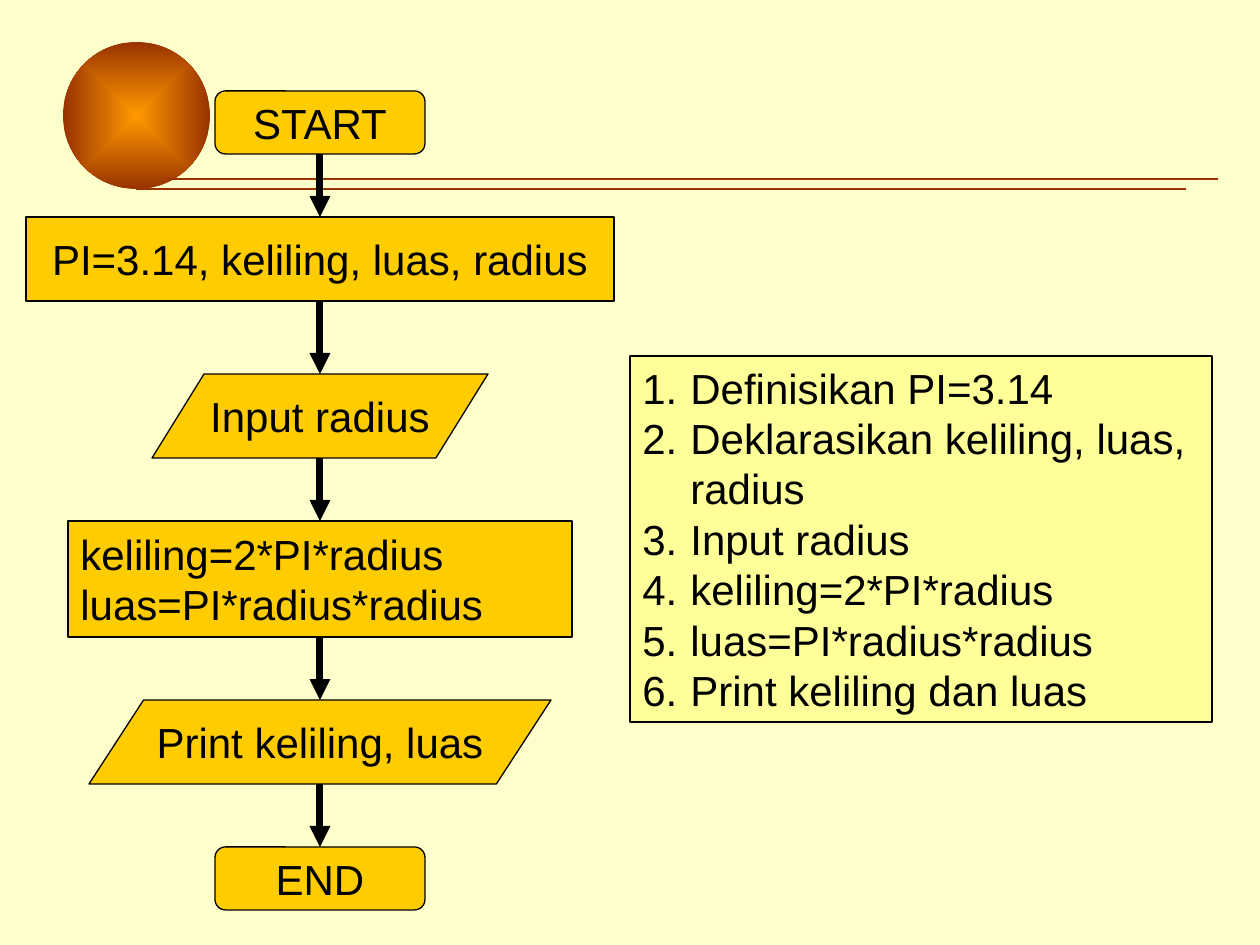
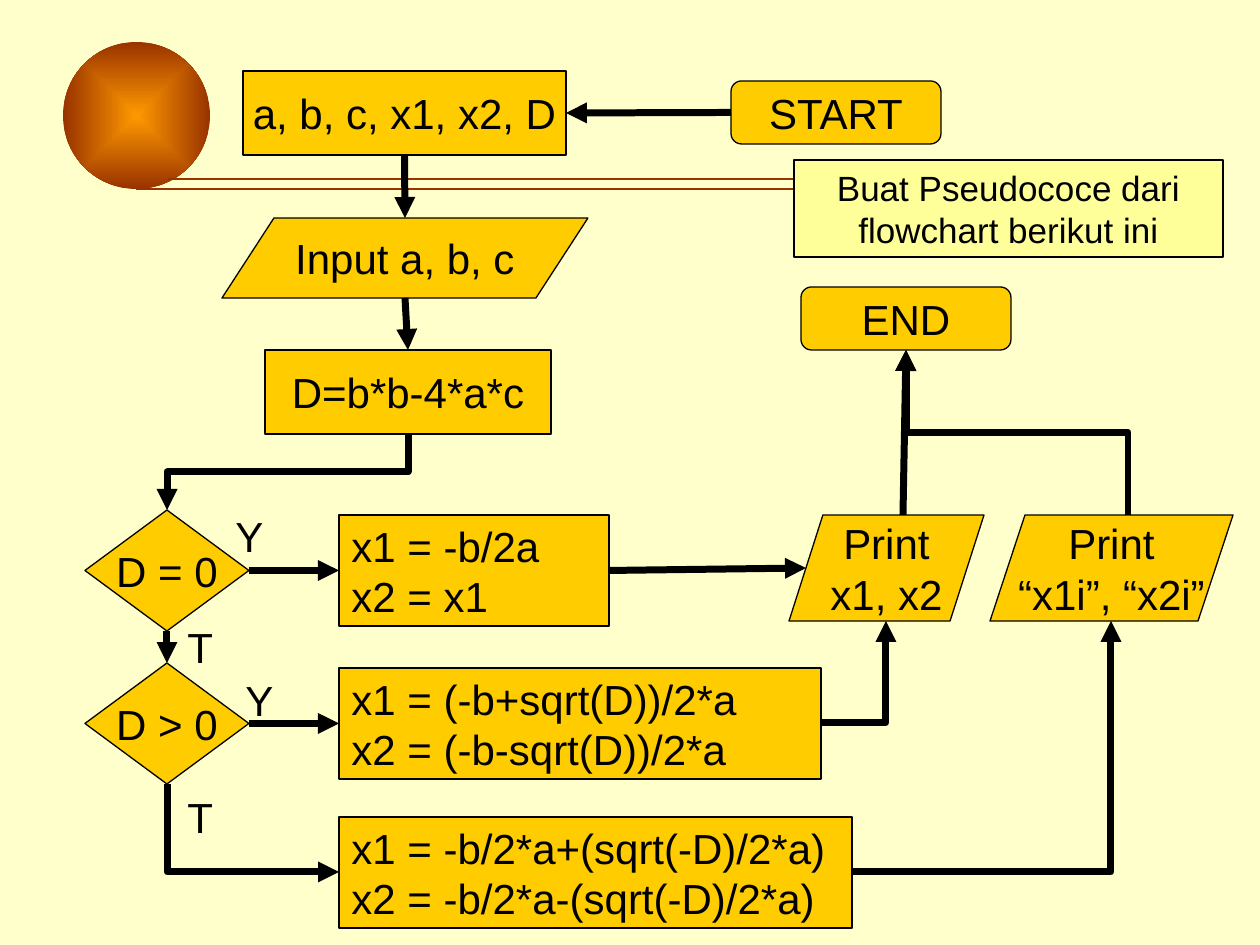
from dataclasses import dataclass
from itertools import pairwise

import lxml.etree
import pptx
import pptx.dml.color
import pptx.enum.shapes
import pptx.enum.text
import pptx.oxml
import pptx.oxml.ns
import pptx.shapes.autoshape
import pptx.shapes.connector
import pptx.slide
import pptx.util

PX_PER_INCH = 126
FONT = "Arial"
COLORS = {
    "page": "FFFFCC",
    "node": "FFCC00",
    "note": "FFFF99",
    "ink": "000000",
    "glow": "FF9900",
    "rust": "993300",
}
TOP, LEFT, BOTTOM, RIGHT = range(4)
COLUMN_CENTER = 320
SLANT = 17  # half the slant of the print boxes

SHAPES = pptx.enum.shapes.MSO_SHAPE
ALIGN = pptx.enum.text.PP_ALIGN
ANCHOR = pptx.enum.text.MSO_ANCHOR
Shape = pptx.shapes.autoshape.Shape
Connector = pptx.shapes.connector.Connector
Slide = pptx.slide.Slide
Point = tuple[int, int]


@dataclass(frozen=True)
class Node:
    kind: SHAPES
    x: int
    y: int
    w: int
    h: int
    lines: tuple[str, ...]
    centered: bool = True
    slant: float = 0


@dataclass(frozen=True)
class Note:
    x: int
    y: int
    w: int
    h: int
    lines: tuple[str, ...]
    size: int
    numbered: bool = False


@dataclass(frozen=True)
class Joint:
    node: str
    side: int
    dx: int = 0


@dataclass(frozen=True)
class Arrow:
    start: Joint
    end: Joint
    elbow: str = ""


def terminal(x: int, y: int, text: str) -> Node:
    return Node(SHAPES.ROUNDED_RECTANGLE, x, y, 210, 63, (text,))


def process(x: int, y: int, w: int, h: int, *lines: str) -> Node:
    """Rectangle: one line is centred, several are aligned left."""
    return Node(SHAPES.RECTANGLE, x, y, w, h, lines, len(lines) == 1)


def in_out(x: int, y: int, w: int, h: int, slant: float, *lines: str) -> Node:
    return Node(SHAPES.PARALLELOGRAM, x, y, w, h, lines, slant=slant)


def decision(y: int, text: str) -> Node:
    return Node(SHAPES.DIAMOND, 85, y, 164, 121, (text,))


def in_column(w: int) -> int:
    """Left edge of a box of width w in the centred column."""
    return COLUMN_CENTER - w // 2


AREA_NODES = {
    "start": terminal(in_column(210), 91, "START"),
    "declare": process(in_column(588), 217, 588, 84, "PI=3.14, keliling, luas, radius"),
    "input": in_out(in_column(336), 374, 336, 84, 0.62, "Input radius"),
    "compute": process(in_column(504), 521, 504, 116,
                       "keliling=2*PI*radius", "luas=PI*radius*radius"),
    "print": in_out(in_column(462), 700, 462, 84, 0.65, "Print keliling, luas"),
    "end": terminal(in_column(210), 847, "END"),
}
AREA_ARROWS = [Arrow(Joint(a, BOTTOM), Joint(b, TOP)) for a, b in pairwise(AREA_NODES)]
AREA_NOTE = Note(630, 356, 582, 366, (
    "Definisikan PI=3.14",
    "Deklarasikan keliling, luas, radius",
    "Input radius",
    "keliling=2*PI*radius",
    "luas=PI*radius*radius",
    "Print keliling dan luas",
), 24, numbered=True)

ROOT_NODES = {
    "start": terminal(731, 81, "START"),
    "declare": process(243, 71, 323, 84, "a, b, c, x1, x2, D"),
    "end": terminal(801, 287, "END"),
    "input": in_out(222, 218, 366, 80, 0.65, "Input a, b, c"),
    "discriminant": process(265, 350, 286, 84, "D=b*b-4*a*c"),
    "zero": decision(510, "D = 0"),
    "positive": decision(663, "D > 0"),
    "equal": process(339, 515, 270, 111, "x1 = -b/2a", "x2 = x1"),
    "real": process(339, 668, 482, 111, "x1 = (-b+sqrt(D))/2*a", "x2 = (-b-sqrt(D))/2*a"),
    "complex": process(339, 817, 513, 111,
                       "x1 = -b/2*a+(sqrt(-D)/2*a)", "x2 = -b/2*a-(sqrt(-D)/2*a)"),
    "print_real": in_out(789, 515, 195, 106, 0.32, "Print", "x1, x2"),
    "print_complex": in_out(990, 515, 243, 106, 0.33, "Print", "“x1i”, “x2i”"),
}
ROOT_ARROWS = [
    Arrow(Joint("start", LEFT), Joint("declare", RIGHT)),
    Arrow(Joint("declare", BOTTOM), Joint("input", TOP)),
    Arrow(Joint("input", BOTTOM), Joint("discriminant", TOP)),
    Arrow(Joint("discriminant", BOTTOM), Joint("zero", TOP), "bentConnector3"),
    Arrow(Joint("zero", RIGHT), Joint("equal", LEFT)),
    Arrow(Joint("zero", BOTTOM), Joint("positive", TOP)),
    Arrow(Joint("positive", RIGHT), Joint("real", LEFT)),
    Arrow(Joint("positive", BOTTOM), Joint("complex", LEFT), "bentConnector2"),
    Arrow(Joint("equal", RIGHT), Joint("print_real", LEFT, SLANT)),
    Arrow(Joint("real", RIGHT), Joint("print_real", BOTTOM), "bentConnector2"),
    Arrow(Joint("complex", RIGHT), Joint("print_complex", BOTTOM), "bentConnector2"),
    Arrow(Joint("print_real", TOP, SLANT), Joint("end", BOTTOM)),
    Arrow(Joint("print_complex", TOP, SLANT), Joint("end", BOTTOM), "bentConnector3"),
]
ROOT_NOTE = Note(794, 160, 429, 97, ("Buat Pseudococe dari flowchart berikut ini",), 20)
BRANCH_LABELS = [("Y", 223, 504), ("Y", 233, 668), ("T", 175, 615), ("T", 175, 785)]


def px(n: int) -> pptx.util.Emu:
    return pptx.util.Emu(round(n * 914400 / PX_PER_INCH))


def rgb(name: str) -> pptx.dml.color.RGBColor:
    return pptx.dml.color.RGBColor.from_string(COLORS[name])


def add_child(parent: lxml.etree._Element, tag: str, **attrs: str) -> lxml.etree._Element:
    return lxml.etree.SubElement(parent, pptx.oxml.ns.qn(tag), attrs)


def write_lines(sp: Shape, lines: tuple[str, ...], size: int, align: ALIGN) -> None:
    tf = sp.text_frame
    for i, line in enumerate(lines):
        p = tf.add_paragraph() if i else tf.paragraphs[0]
        p.alignment = align
        r = p.add_run()
        r.text = line
        r.font.name = FONT
        r.font.size = pptx.util.Pt(size)
        r.font.color.rgb = rgb("ink")


def add_box(s: Slide, kind: SHAPES, x: int, y: int, w: int, h: int, fill: str) -> Shape:
    sp = s.shapes.add_shape(kind, px(x), px(y), px(w), px(h))
    sp.shadow.inherit = False
    sp.fill.solid()
    sp.fill.fore_color.rgb = rgb(fill)
    sp.line.color.rgb = rgb("ink")
    sp.line.width = pptx.util.Pt(0.75)
    return sp


def add_node(s: Slide, node: Node) -> Shape:
    sp = add_box(s, node.kind, node.x, node.y, node.w, node.h, "node")
    if node.slant:
        sp.adjustments[0] = node.slant
    sp.text_frame.word_wrap = False
    sp.text_frame.vertical_anchor = ANCHOR.MIDDLE
    write_lines(sp, node.lines, 24, ALIGN.CENTER if node.centered else ALIGN.LEFT)
    return sp


def add_note(s: Slide, note: Note) -> None:
    sp = add_box(s, SHAPES.RECTANGLE, note.x, note.y, note.w, note.h, "note")
    sp.text_frame.word_wrap = True
    sp.text_frame.vertical_anchor = ANCHOR.TOP
    write_lines(sp, note.lines, note.size, ALIGN.LEFT if note.numbered else ALIGN.CENTER)
    if note.numbered:
        for p in sp.text_frame.paragraphs:
            pPr = p._p.get_or_add_pPr()
            pPr.set("marL", str(px(48)))
            pPr.set("indent", str(-px(48)))
            add_child(pPr, "a:buFont", typeface=FONT)
            add_child(pPr, "a:buAutoNum", type="arabicPeriod")


def add_label(s: Slide, text: str, x: int, y: int) -> None:
    sp = s.shapes.add_textbox(px(x), px(y), px(52), px(63))
    sp.text_frame.word_wrap = False
    write_lines(sp, (text,), 24, ALIGN.LEFT)


def add_line(s: Slide, start: Point, end: Point, color: str, width: float,
             elbow: str = "") -> Connector:
    kinds = pptx.enum.shapes.MSO_CONNECTOR
    c = s.shapes.add_connector(kinds.ELBOW if elbow else kinds.STRAIGHT,
                               *map(px, start + end))
    c.line.color.rgb = rgb(color)
    c.line.width = pptx.util.Pt(width)
    add_child(c._element.spPr, "a:effectLst")
    return c


def joint_point(node: Node, joint: Joint) -> Point:
    x = node.x + {LEFT: 0, RIGHT: node.w}.get(joint.side, node.w // 2)
    y = node.y + {TOP: 0, BOTTOM: node.h}.get(joint.side, node.h // 2)
    return x + joint.dx, y


def turn_upright(c: Connector, start: Point, end: Point) -> None:
    """Rotate an elbow so that it leaves its start vertically."""
    (x1, y1), (x2, y2) = start, end
    w, h = abs(y2 - y1), abs(x2 - x1)
    c.left, c.top = px((x1 + x2 - w) / 2), px((y1 + y2 - h) / 2)
    c.width, c.height = px(w), px(h)
    down = y2 > y1
    xfrm = c._element.spPr.xfrm
    xfrm.set("rot", str((90 if down else 270) * 60000))
    xfrm.set("flipH", "0")
    xfrm.set("flipV", "1" if down == (x2 > x1) else "0")


def add_arrow(s: Slide, arrow: Arrow, nodes: dict[str, Node], boxes: dict[str, Shape]) -> None:
    start, end = (joint_point(nodes[j.node], j) for j in (arrow.start, arrow.end))
    c = add_line(s, start, end, "ink", 4, arrow.elbow)
    add_child(c.line._get_or_add_ln(), "a:tailEnd", type="triangle")
    if arrow.elbow:
        c._element.spPr.prstGeom.set("prst", arrow.elbow)
        if arrow.start.side in (TOP, BOTTOM):
            turn_upright(c, start, end)
        return
    for joint, connect in ((arrow.start, c.begin_connect), (arrow.end, c.end_connect)):
        if nodes[joint.node].kind != SHAPES.PARALLELOGRAM:
            connect(boxes[joint.node], joint.side)


def add_decoration(s: Slide) -> None:
    ball = s.shapes.add_shape(SHAPES.OVAL, px(63), px(42), px(147), px(147))
    ball.shadow.inherit = False
    ball.line.fill.background()
    ball.fill.gradient()
    for stop, color in zip(ball.fill.gradient_stops, ("glow", "rust")):
        stop.color.rgb = rgb(color)
    grad = ball._element.spPr.find(pptx.oxml.ns.qn("a:gradFill"))
    grad.remove(grad.find(pptx.oxml.ns.qn("a:lin")))
    center = add_child(grad, "a:path", path="rect")
    add_child(center, "a:fillToRect", l="50000", t="50000", r="50000", b="50000")
    for x, y in ((136, 189), (168, 179)):
        add_line(s, (x, y), (x + 1050, y), "rust", 0.75)


def add_flowchart(prs: pptx.presentation.Presentation, nodes: dict[str, Node],
                  arrows: list[Arrow], note: Note) -> Slide:
    s = prs.slides.add_slide(prs.slide_layouts[6])
    s.background.fill.solid()
    s.background.fill.fore_color.rgb = rgb("page")
    add_decoration(s)
    boxes = {name: add_node(s, node) for name, node in nodes.items()}
    for arrow in arrows:
        add_arrow(s, arrow, nodes, boxes)
    add_note(s, note)
    return s


def main() -> None:
    prs = pptx.Presentation()
    prs.slide_width, prs.slide_height = px(1260), px(945)
    add_flowchart(prs, AREA_NODES, AREA_ARROWS, AREA_NOTE)
    roots = add_flowchart(prs, ROOT_NODES, ROOT_ARROWS, ROOT_NOTE)
    for text, x, y in BRANCH_LABELS:
        add_label(roots, text, x, y)
    prs.save("out.pptx")


if __name__ == "__main__":
    main()
